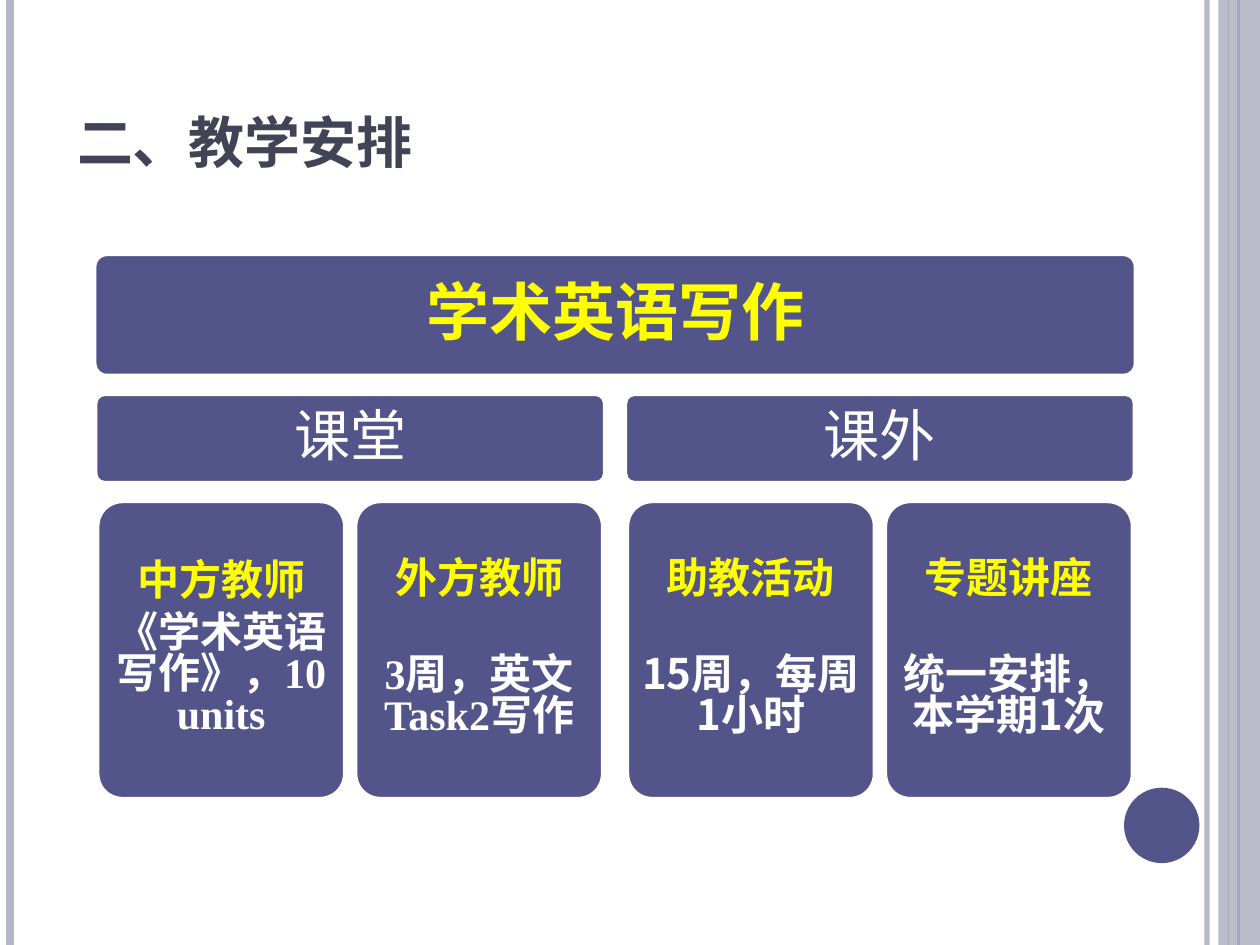
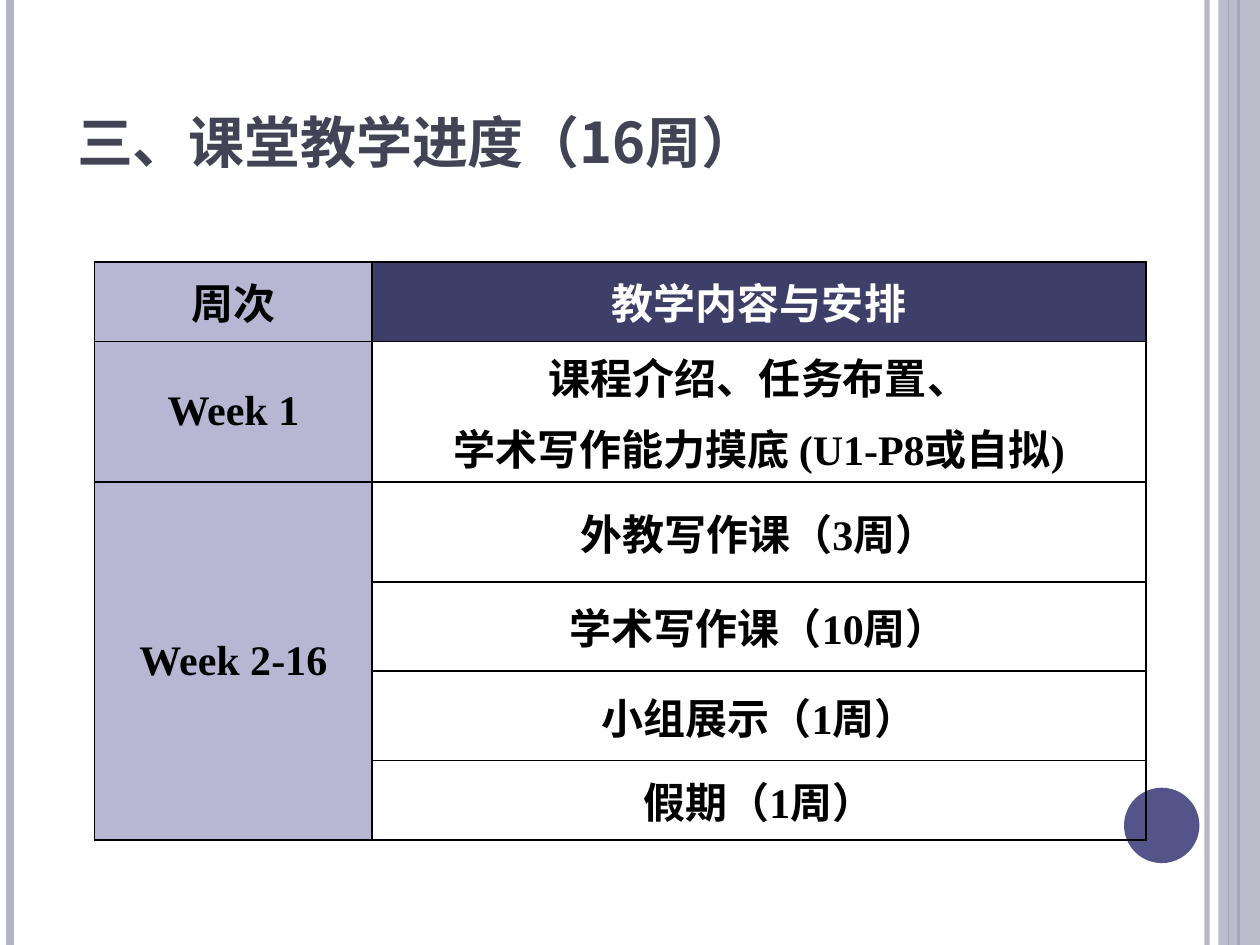
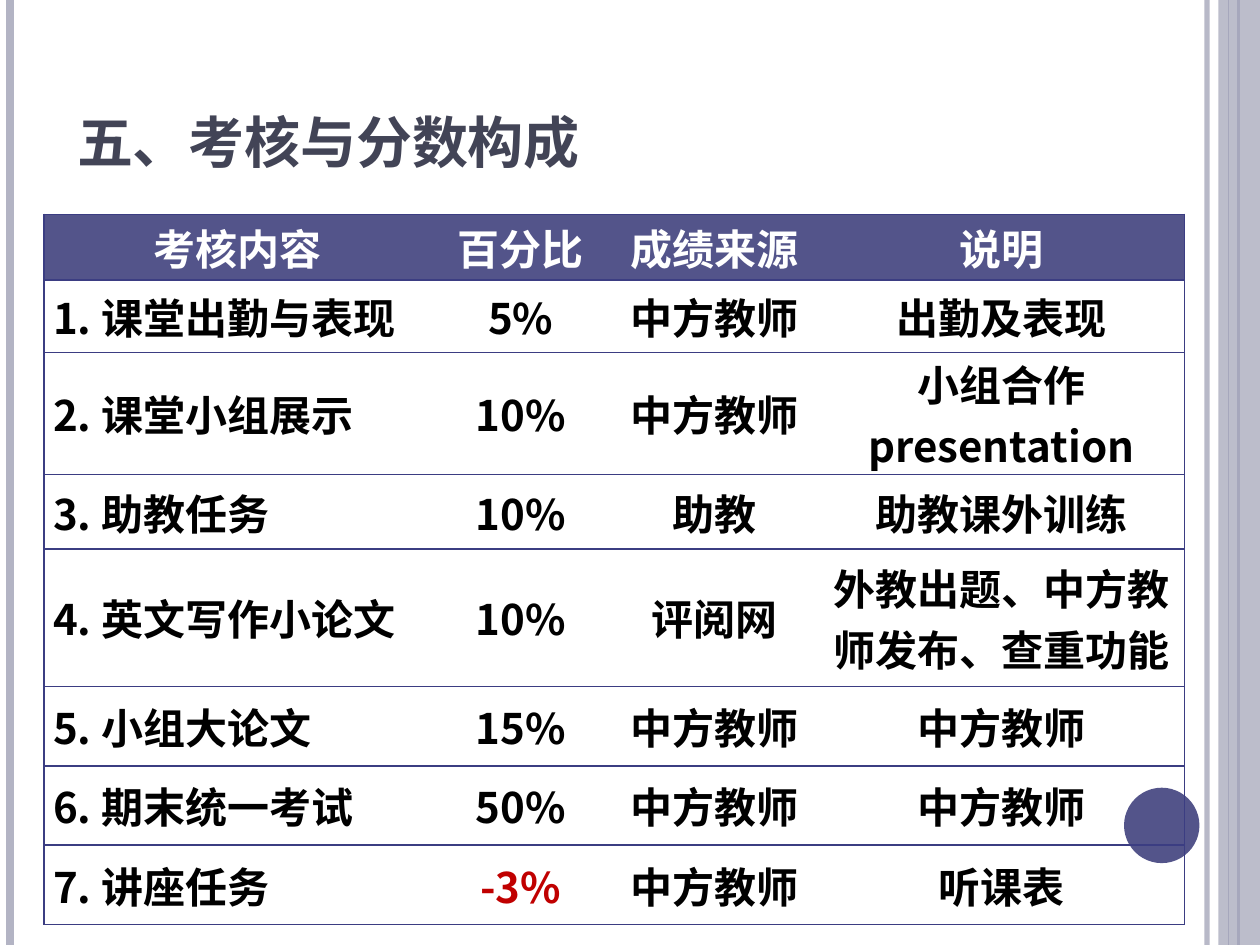
from dataclasses import dataclass
from itertools import product

from lxml.etree import SubElement
from pptx import Presentation
from pptx.dml.color import RGBColor
from pptx.enum.shapes import MSO_CONNECTOR, MSO_SHAPE
from pptx.enum.text import MSO_ANCHOR, MSO_AUTO_SIZE, PP_ALIGN
from pptx.oxml.ns import qn
from pptx.util import Cm, Pt


@dataclass(frozen=True)
class Theme:
    indigo: str = "53548A"
    navy: str = "3E3F68"
    rule: str = "3B3D82"
    lilac: str = "B7B7D4"
    band: str = "B3B4C4"
    ink: str = "424456"
    black: str = "000000"
    white: str = "FFFFFF"
    yellow: str = "FFFF00"
    red: str = "C00000"
    title: int = 40
    root: int = 36
    branch: int = 32
    body: int = 24
    sans: str = "Noto Sans CJK SC"
    serif: str = "Times New Roman"


T = Theme()
WIDE, HIGH = 25.4, 19.05

# x, colour, width in points, opacity in percent
RULES = [
    (24.33, T.band, 3, 93),
    (0.2, T.band, 4.5, 100),
    (24.97, T.indigo, 1.5, 100),
    (24.77, T.indigo, 0.75, 100),
]
# preset, left, top, width, height, colour, opacity in percent
BLOCKS = [
    (MSO_SHAPE.RECTANGLE, 24.56, 0, 0.84, HIGH, T.band, 87),
    (MSO_SHAPE.OVAL, 22.66, 15.88, 1.52, 1.52, T.indigo, 100),
]

PLAN = ("二、教学安排", 23.6)
ROOT = "学术英语写作"
# branch, then its cards: head, text, font, gap below the head in points
TREE = [
    ("课堂", [
        ("中方教师", "《学术英语写作》，10 units", T.serif, 6),
        ("外方教师", "3周，英文Task2写作", T.serif, 31),
    ]),
    ("课外", [
        ("助教活动", "15周，每周1小时", T.sans, 31),
        ("专题讲座", "统一安排，本学期1次", T.sans, 31),
    ]),
]

WEEKS = ("三、课堂教学进度（16周）", 18.59)
WEEK_ROWS = [
    ("周次", "教学内容与安排"),
    ("Week 1", "课程介绍、任务布置、\n学术写作能力摸底 (U1-P8或自拟)"),
    ("Week 2-16", "外教写作课（3周）"),
    ("", "学术写作课（10周）"),
    ("", "小组展示（1周）"),
    ("", "假期（1周）"),
]
WEEK_COLS = [5.59, 15.6]
WEEK_TALL = [1.6, 2.84, 2.01, 1.8, 1.8, 1.6]

MARKS = ("五、考核与分数构成", 14.99)
MARK_ROWS = [
    ("考核内容", "百分比", "成绩来源", "说明"),
    ("1. 课堂出勤与表现", "5%", "中方教师", "出勤及表现"),
    ("2. 课堂小组展示", "10%", "中方教师", "小组合作presentation"),
    ("3. 助教任务", "10%", "助教", "助教课外训练"),
    ("4. 英文写作小论文", "10%", "评阅网", "外教出题、中方教师发布、查重功能"),
    ("5. 小组大论文", "15%", "中方教师", "中方教师"),
    ("6. 期末统一考试", "50%", "中方教师", "中方教师"),
    ("7. 讲座任务", "-3%", "中方教师", "听课表"),
]
MARK_COLS = [7.8, 3.61, 4.19, 7.39]
MARK_TALL = [1.32, 1.47, 2.34, 1.5, 2.77, 1.6, 1.6, 1.6]


def tint(value):
    return RGBColor.from_string(value)


def fade(shape, percent):
    """Make the first solid colour of the shape partly transparent."""
    if percent < 100:
        color = next(shape._element.iter(qn("a:srgbClr")))
        SubElement(color, qn("a:alpha"), val=str(percent * 1000))


def put(frame, text, size, color, face=T.sans, bold=True,
        align=PP_ALIGN.CENTER, small=False):
    """Fill the frame, one paragraph a line, all in one style."""
    frame.text = text
    frame.word_wrap = True
    for para in frame.paragraphs:
        para.alignment = align
        font = para.font
        font.size, font.bold, font.name = Pt(size), bold, face
        font.color.rgb = tint(color)
        props = para._p.pPr.find(qn("a:defRPr"))
        SubElement(props, qn("a:ea"), typeface=T.sans)
        if small:
            props.set("cap", "small")


def block(slide, preset, left, top, width, height, color):
    shape = slide.shapes.add_shape(
        preset, Cm(left), Cm(top), Cm(width), Cm(height))
    shape.shadow.inherit = False
    shape.fill.solid()
    shape.fill.fore_color.rgb = tint(color)
    shape.line.fill.background()
    return shape


def rule(slide, x, color, width):
    line = slide.shapes.add_connector(
        MSO_CONNECTOR.STRAIGHT, Cm(x), 0, Cm(x), Cm(HIGH))
    line.line.color.rgb = tint(color)
    line.line.width = Pt(width)
    SubElement(line._element.spPr, qn("a:effectLst"))
    return line


def dress(layout, slide):
    """Draw the bands on the slide, then move them to its layout."""
    parts = []
    for *form, alpha in RULES:
        parts.append(rule(slide, *form))
        fade(parts[-1], alpha)
    for *form, alpha in BLOCKS:
        parts.append(block(slide, *form))
        fade(parts[-1], alpha)
    for num, part in enumerate(parts, 100):
        part._element.xpath("./*/p:cNvPr")[0].set("id", str(num))
        layout.shapes._spTree.append(part._element)


def page(deck, text, width):
    slide = deck.slides.add_slide(deck.slide_layouts[5])
    title = slide.shapes.title
    title.left, title.top = Cm(1.3), Cm(0.53)
    title.width, title.height = Cm(width), Cm(3.18)
    frame = title.text_frame
    frame.vertical_anchor = MSO_ANCHOR.BOTTOM
    frame.auto_size = MSO_AUTO_SIZE.NONE
    put(frame, text, T.title, T.ink, align=PP_ALIGN.LEFT, small=True)
    return slide


def card(slide, spot, text, size, color, **style):
    shape = block(slide, MSO_SHAPE.ROUNDED_RECTANGLE, *spot, T.indigo)
    shape.adjustments[0] = 0.1
    shape.line.color.rgb = tint(T.white)
    shape.line.width = Pt(2)
    frame = shape.text_frame
    frame.margin_left = frame.margin_right = Cm(0.1)
    frame.margin_top = frame.margin_bottom = Cm(0.1)
    frame.vertical_anchor = MSO_ANCHOR.MIDDLE
    put(frame, text, size, color, **style)
    for para in frame.paragraphs:
        para.line_spacing = 0.9
    return frame


def tree(slide):
    card(slide, (1.91, 5.13, 20.98, 2.44), ROOT, T.root, T.yellow)
    for i, (branch, cards) in enumerate(TREE):
        left = 1.93 + i * 10.68
        card(slide, (left, 7.95, 10.26, 1.78), branch, T.branch, T.white,
             bold=False)
        for j, (head, text, face, gap) in enumerate(cards):
            spot = (left + 0.04 + j * 5.2, 10.11, 4.98, 5.99)
            frame = card(slide, spot, f"{head}\n{text}", T.body, T.white,
                         face=face)
            for para in frame.paragraphs:
                para.line_spacing = 0.82
            first = frame.paragraphs[0]
            first.font.color.rgb = tint(T.yellow)
            first.space_after = Pt(gap)


def edge(cell, sides, color):
    """Rule the given sides of the cell and clear the others."""
    props = cell._tc.get_or_add_tcPr()
    for side in "LRTB":
        line = SubElement(props, qn(f"a:ln{side}"), w=str(Pt(1)))
        if side in sides:
            fill = SubElement(line, qn("a:solidFill"))
            SubElement(fill, qn("a:srgbClr"), val=color)
        else:
            SubElement(line, qn("a:noFill"))


def grid(slide, left, top, rows, cols, tall, look):
    """Build a table; look(row, col) gives sides, rule, fill, text style."""
    table = slide.shapes.add_table(
        len(rows), len(cols), Cm(left), Cm(top),
        Cm(sum(cols)), Cm(sum(tall))).table
    table.first_row = table.horz_banding = False
    for col, width in zip(table.columns, cols):
        col.width = Cm(width)
    for row, height in zip(table.rows, tall):
        row.height = Cm(height)
    for r, c in product(range(len(rows)), range(len(cols))):
        cell = table.cell(r, c)
        sides, color, fill, style = look(r, c)
        edge(cell, sides, color)
        if fill:
            cell.fill.solid()
            cell.fill.fore_color.rgb = tint(fill)
        else:
            cell.fill.background()
        cell.margin_left = cell.margin_right = Cm(0.18)
        cell.margin_top = cell.margin_bottom = 0
        cell.vertical_anchor = MSO_ANCHOR.MIDDLE
        if rows[r][c]:
            put(cell.text_frame, rows[r][c], T.body, **style)
    return table


def week_look(r, c):
    head = r == 0 and c == 1
    fill = T.lilac if c == 0 else T.navy if head else None
    style = {"color": T.white if head else T.black, "face": T.serif}
    return "LRTB", T.black, fill, style


def mark_look(r, c):
    sides = "TB" + {0: "L", len(MARK_COLS) - 1: "R"}.get(c, "")
    color = T.white if r == 0 else T.black
    if MARK_ROWS[r][c].startswith("-"):
        color = T.red
    align = PP_ALIGN.JUSTIFY if r and c == 0 else PP_ALIGN.CENTER
    fill = None if r else T.indigo
    return sides, T.rule, fill, {"color": color, "align": align}


def main():
    deck = Presentation()
    deck.slide_width, deck.slide_height = Cm(WIDE), Cm(HIGH)

    plan = page(deck, *PLAN)
    dress(plan.slide_layout, plan)
    tree(plan)

    weeks = page(deck, *WEEKS)
    table = grid(weeks, 1.91, 5.28, WEEK_ROWS, WEEK_COLS, WEEK_TALL,
                 week_look)
    table.cell(2, 0).merge(table.cell(5, 0))
    for cell in table.iter_cells():
        for para in cell.text_frame.paragraphs:
            para.space_before = Pt(6)

    marks = page(deck, *MARKS)
    grid(marks, 0.89, 4.32, MARK_ROWS, MARK_COLS, MARK_TALL, mark_look)

    deck.save("out.pptx")


if __name__ == "__main__":
    main()
